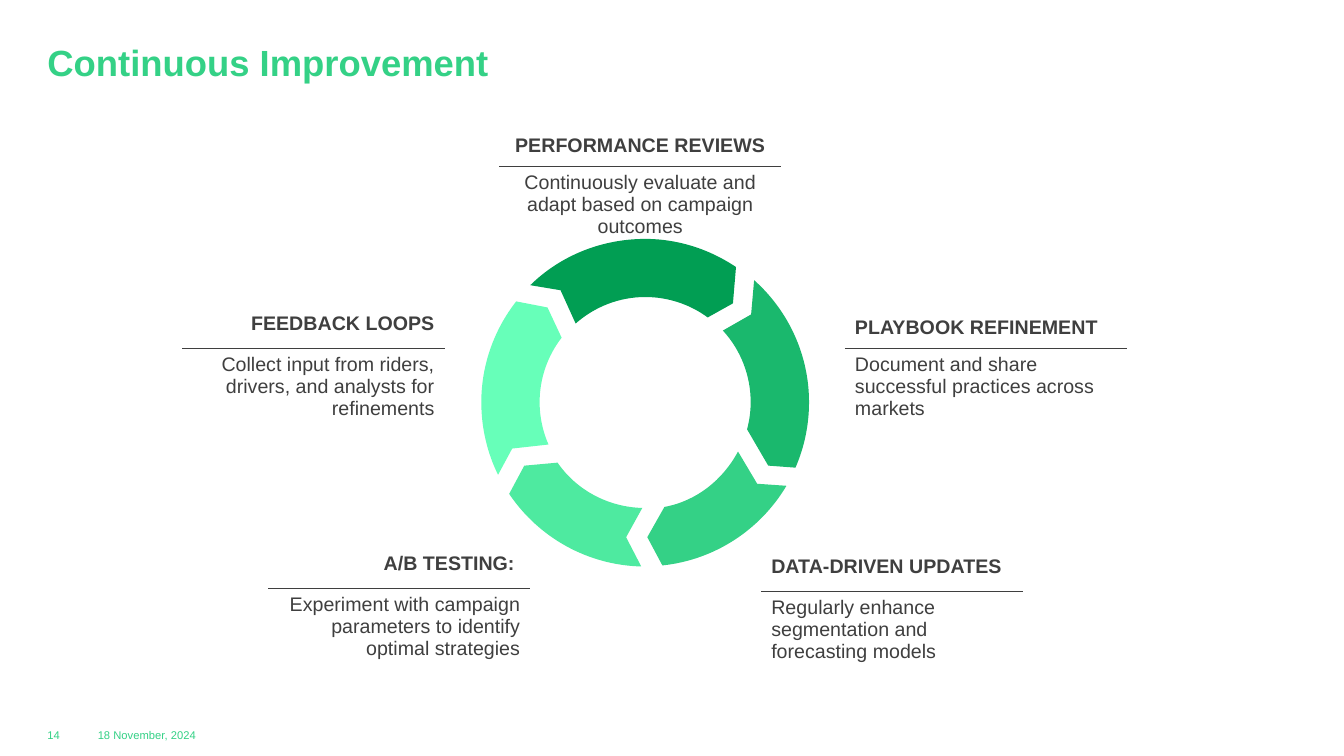
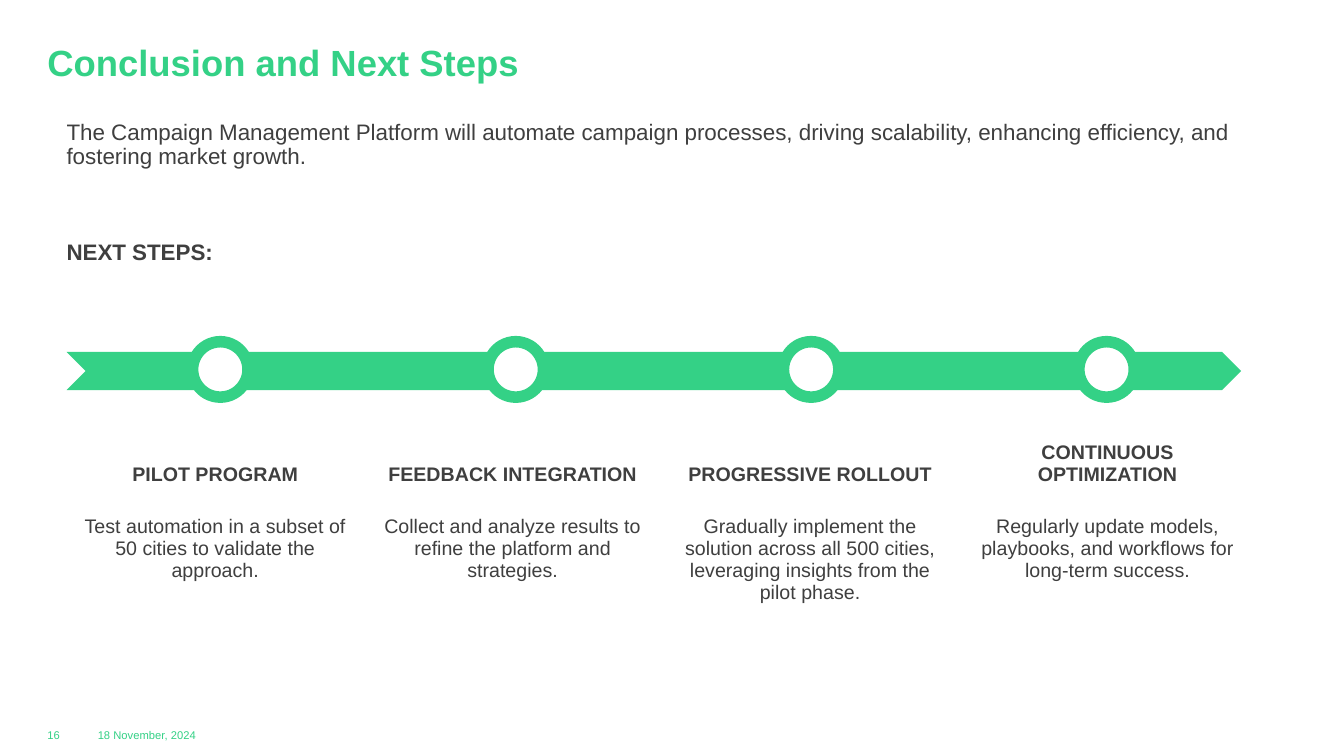
from math import atan2, cos, hypot, pi, remainder, sin, tan, tau

from lxml.etree import SubElement
from pptx import Presentation
from pptx.dml.color import RGBColor
from pptx.enum.shapes import MSO_SHAPE
from pptx.enum.text import MSO_ANCHOR, PP_ALIGN
from pptx.oxml import parse_xml
from pptx.oxml.ns import nsdecls, qn
from pptx.util import Pt

PX = 9144  # 100 px to the inch
FONT = "Arial"
GREEN = RGBColor(0x34, 0xD1, 0x86)
DARK = RGBColor(0x3F, 0x3F, 0x3F)
WHITE = RGBColor(0xFF, 0xFF, 0xFF)
DEEP = RGBColor(0x01, 0x9E, 0x53)
LEAF = RGBColor(0x1A, 0xB8, 0x6D)
MINT = RGBColor(0x4E, 0xEA, 0xA0)
PALE = RGBColor(0x67, 0xFF, 0xB9)
LEFT, MID, RIGHT = PP_ALIGN.LEFT, PP_ALIGN.CENTER, PP_ALIGN.RIGHT
TOP, MIDDLE, BOTTOM = MSO_ANCHOR.TOP, MSO_ANCHOR.MIDDLE, MSO_ANCHOR.BOTTOM
NO_STYLE = "{2D5ABB26-0587-4C30-8999-92F81FD0307C}"
DATE = "18 November, 2024"

HUB = (640, 399)
# Colour, then corners clockwise: outer start and end, end bend,
# inner end and start, start bend.
RING = [
    (DEEP, (526, 283), (730, 265), (727, 301), (702, 315), (571, 321), (556, 288)),
    (LEAF, (748, 278), (789, 464), (762, 462), (741, 426), (717, 328), (745, 312)),
    (PALE, (494, 471), (512, 299), (543, 305), (557, 335), (544, 441), (508, 445)),
    (GREEN, (780, 482), (657, 561), (642, 533), (659, 503), (732, 448), (751, 480)),
    (MINT, (636, 562), (505, 490), (520, 462), (553, 459), (637, 504), (621, 533)),
]
# Left, top, width, alignment, heading anchor, heading, text
NOTES = [
    (181, 305, 260, RIGHT, TOP, "FEEDBACK LOOPS",
     "Collect input from riders, drivers, and analysts for refinements"),
    (266, 543, 260, RIGHT, TOP, "A/B TESTING: ",
     "Experiment with campaign parameters to identify optimal strategies"),
    (755, 546, 260, LEFT, TOP, "DATA-DRIVEN UPDATES",
     "Regularly enhance segmentation and forecasting models"),
    (838, 305, 280, LEFT, MIDDLE, "PLAYBOOK REFINEMENT",
     "Document and share successful practices across markets"),
    (495, 124, 280, MID, MIDDLE, "PERFORMANCE REVIEWS",
     "Continuously evaluate and adapt based on campaign outcomes"),
]
STEPS = [
    ("PILOT PROGRAM",
     "Test automation in a subset of 50 cities to validate the approach."),
    ("FEEDBACK INTEGRATION",
     "Collect and analyze results to refine the platform and strategies."),
    ("PROGRESSIVE ROLLOUT",
     "Gradually implement the solution across all 500 cities, "
     "leveraging insights from the pilot phase."),
    ("CONTINUOUS OPTIMIZATION",
     "Regularly update models, playbooks, and workflows for long-term success."),
]
GOAL = ("The Campaign Management Platform will automate campaign processes, "
        "driving scalability, enhancing efficiency, and fostering market growth.")


def px(*sizes):
    return [round(size * PX) for size in sizes]


def style(para, size, color, bold=False):
    for run in para.runs:
        font = run.font
        font.name, font.size, font.bold = FONT, Pt(size), bold
        font.color.rgb = color


def add_text(slide, box, text, size, color, bold=False, anchor=TOP, space=None):
    frame = slide.shapes.add_textbox(*px(*box)).text_frame
    frame.word_wrap = True
    frame.vertical_anchor = anchor
    frame.margin_left = frame.margin_right = 0
    frame.margin_top = frame.margin_bottom = 0
    frame.text = text
    for para in frame.paragraphs:
        para.line_spacing = space
        style(para, size, color, bold)
    return frame


def add_page(deck, title, number):
    """Add a blank slide with the shared title and footer."""
    slide = deck.slides.add_slide(deck.slide_layouts[6])
    add_text(slide, (47, 47, 1239, 51), title, 26, GREEN, True, space=0.83)
    add_text(slide, (97, 720, 134, 18), DATE, 8, GREEN, anchor=MIDDLE)
    add_text(slide, (47, 720, 33, 18), str(number), 8, GREEN, anchor=MIDDLE)
    return slide


def paint(shape, fill, line=None, width=0):
    shape.shadow.inherit = False
    shape.fill.solid()
    shape.fill.fore_color.rgb = fill
    if line is None:
        shape.line.fill.background()
    else:
        shape.line.color.rgb = line
        shape.line.width = Pt(width)


def polar(point):
    x, y = point[0] - HUB[0], point[1] - HUB[1]
    return atan2(y, x), hypot(x, y)


def spot(angle, radius, shift=0):
    """The point at an angle around HUB, moved by shift along the tangent."""
    return px(HUB[0] + radius * cos(angle) - shift * sin(angle),
              HUB[1] + radius * sin(angle) + shift * cos(angle))


def arc(start, end):
    """Curves from start to end as (point, handles), split at the axes."""
    (turn, reach), (last, far) = polar(start), polar(end)
    sweep = remainder(last - turn, tau)
    cuts = [(k * pi / 2 - turn) / sweep for k in range(-4, 5)]
    stops = [0, *sorted(cut for cut in cuts if 0 < cut < 1), 1]
    curves = []
    for a, b in zip(stops, stops[1:]):
        grip = 4 / 3 * tan(sweep * (b - a) / 4)
        near, away = [reach + (far - reach) * part for part in (a, b)]
        head, tail = turn + sweep * a, turn + sweep * b
        curves.append((spot(tail, away), [spot(head, near, grip * near),
                                          spot(tail, away, -grip * away)]))
    return curves


def bend_lines(shape, nodes):
    """Turn each straight edge that has handles into a curve."""
    track = next(shape._element.iter(qn("a:path")))
    for edge, (_, grips) in zip(track.findall(qn("a:lnTo")), nodes):
        if not grips:
            continue
        curve = edge.makeelement(qn("a:cubicBezTo"))
        for x, y in grips:
            SubElement(curve, qn("a:pt"), x=str(x - shape.left), y=str(y - shape.top))
        curve.append(edge[0])
        track.replace(edge, curve)


def add_arc(slide, color, start, end, bend, inner, back, notch):
    nodes = [*arc(start, end), (px(*bend), None), (px(*inner), None),
             *arc(inner, back), (px(*notch), None)]
    pen = slide.shapes.build_freeform(*px(*start))
    pen.add_line_segments([point for point, _ in nodes], close=True)
    shape = pen.convert_to_shape()
    bend_lines(shape, nodes)
    paint(shape, color)


def add_rule(cell, side):
    line = parse_xml(f'<a:{side} {nsdecls("a")} w="{Pt(0.75)}"/>')
    fill = SubElement(line, qn("a:solidFill"))
    SubElement(fill, qn("a:srgbClr"), val=str(DARK))
    cell._tc.get_or_add_tcPr().insert(0, line)


def add_grid(slide, left, top, width, heights, rows, anchor, align, pad=None):
    """Add a plain table: bold headings over one row of text."""
    count = len(rows[0])
    table = slide.shapes.add_table(
        len(rows), count, *px(left, top, width * count, sum(heights))).table
    table._tbl.tblPr.find(qn("a:tableStyleId")).text = NO_STYLE
    table.first_row = table.horz_banding = False
    for col in table.columns:
        col.width = width * PX
    for r, (row, height) in enumerate(zip(rows, heights)):
        table.rows[r].height = height * PX
        for c, text in enumerate(row):
            cell = table.cell(r, c)
            cell.fill.background()
            cell.vertical_anchor = TOP if r else anchor
            if pad:
                cell.margin_left = cell.margin_right = pad * PX
                cell.margin_top = cell.margin_bottom = pad * PX
            cell.text = text
            para = cell.text_frame.paragraphs[0]
            para.alignment = align
            style(para, 14, DARK, r == 0)
    return table


def add_note(slide, left, top, width, align, anchor, head, text):
    table = add_grid(slide, left, top, width, (41, 19), [[head], [text]],
                     anchor, align)
    add_rule(table.cell(0, 0), "lnB")
    add_rule(table.cell(1, 0), "lnT")


def add_line(slide):
    """Add the timeline: a chevron with one ring per step."""
    band = slide.shapes.add_shape(MSO_SHAPE.CHEVRON, *px(66, 349, 1165, 38))
    band.adjustments[0] = 0.5
    paint(band, GREEN)
    for i in range(len(STEPS)):
        dot = slide.shapes.add_shape(MSO_SHAPE.OVAL, *px(191 + 293 * i, 339, 55, 55))
        paint(dot, WHITE, GREEN, 8.25)


def add_cycle(deck):
    slide = add_page(deck, "Continuous Improvement", 14)
    for part in RING:
        add_arc(slide, *part)
    for note in NOTES:
        add_note(slide, *note)


def add_close(deck):
    slide = add_page(deck, "Conclusion and Next Steps", 16)
    frame = add_text(slide, (66, 120, 1219, 111), GOAL + "\nNEXT STEPS:",
                     16, DARK, space=0.9)
    head = frame.paragraphs[1]
    head.space_before = Pt(51.5)
    style(head, 16, DARK, True)
    add_grid(slide, 66, 420, 295, (20, 20), list(zip(*STEPS)), BOTTOM, MID, 15)
    add_line(slide)


def main():
    deck = Presentation()
    deck.slide_width, deck.slide_height = px(1333, 750)
    add_cycle(deck)
    add_close(deck)
    deck.save("out.pptx")


if __name__ == "__main__":
    main()
